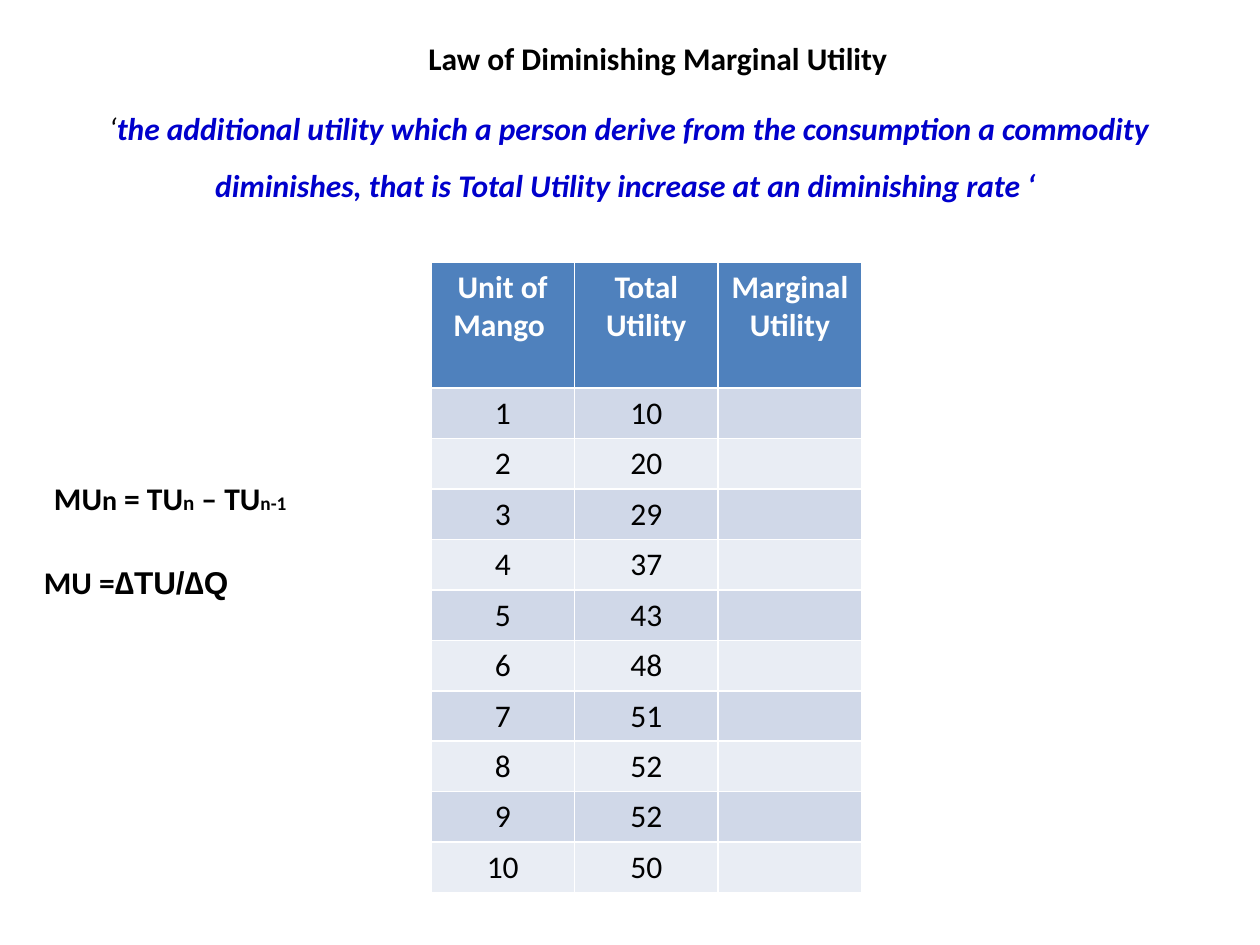
from pptx import Presentation, util as u
from pptx.dml.color import RGBColor
from pptx.enum import text

BLACK, WHITE, BLUE = "000000", "FFFFFF", "0000CC"
HEADER_FILL, BAND_FILLS = "4F81BD", ("E9EDF4", "D0D8E8")

deck = Presentation()
deck.slide_width, deck.slide_height = u.Inches(10), u.Inches(7.5)
slide = deck.slides.add_slide(deck.slide_layouts[5])


def place(left, top, width, height):
    """Turn inches into the four lengths of a box."""
    return [u.Inches(length) for length in (left, top, width, height)]


def write(frame, content, size=18, color=BLACK, bold=True, italic=False,
          font="Calibri", align=text.PP_ALIGN.LEFT, spacing=1.0):
    """Add a run to the frame's first paragraph."""
    paragraph = frame.paragraphs[0]
    paragraph.alignment, paragraph.line_spacing = align, spacing
    run = paragraph.add_run()
    run.text = content
    run.font.name, run.font.size = font, u.Pt(size)
    run.font.bold, run.font.italic = bold, italic
    run.font.color.rgb = RGBColor.from_string(color)


CENTER = text.PP_ALIGN.CENTER

# Heading
heading = slide.shapes.title
heading.left, heading.top, heading.width, heading.height = place(0, 0.26, 10, 0.4)
heading.text_frame.vertical_anchor = text.MSO_ANCHOR.TOP
heading.text_frame.auto_size = text.MSO_AUTO_SIZE.SHAPE_TO_FIT_TEXT
write(heading.text_frame, "Law of Diminishing Marginal Utility ", align=CENTER)
indents = heading.text_frame.paragraphs[0]._p.get_or_add_pPr()
indents.set("marL", str(u.Inches(0.51)))
indents.set("indent", str(u.Inches(-0.01)))

# Definition and formulas: box, paragraph format, runs
notes = [
    (place(0.33, 0.67, 9.33, 1.46), dict(align=CENTER, spacing=1.5, italic=True), [
        ("‘", dict(bold=False)),
        ("the additional utility which a person derive from the consumption a "
         "commodity diminishes, that is Total Utility increase at an "
         "diminishing rate ‘ ", dict(color=BLUE)),
    ]),
    (place(0.33, 3.75, 2.42, 0.4), {}, [
        ("MU", {}), ("n", dict(size=16)), (" = TU", {}),
        ("n", dict(size=12)), (" – TU", {}), ("n-1", dict(size=11)),
    ]),
    (place(0.25, 4.42, 2.42, 0.4), {}, [
        ("MU =", {}), ("∆TU/∆Q", dict(font="Arial")),
    ]),
]
for box, paragraph_format, runs in notes:
    frame = slide.shapes.add_textbox(*box).text_frame
    frame.word_wrap = True
    frame.auto_size = text.MSO_AUTO_SIZE.SHAPE_TO_FIT_TEXT
    for content, run_format in runs:
        write(frame, content, **paragraph_format, **run_format)

# Utility schedule
headers = ["Unit of Mango ", "Total Utility", "Marginal Utility"]
total_utility = [10, 20, 29, 37, 43, 48, 51, 52, 52, 50]
rows = [headers] + [[str(unit), str(total), ""]
                    for unit, total in enumerate(total_utility, 1)]
schedule = slide.shapes.add_table(
    len(rows), len(headers), *place(3.42, 2.08, 3.42, 5.01)).table
for column in schedule.columns:
    column.width = u.Inches(1.14)
for r, values in enumerate(rows):
    schedule.rows[r].height = u.Inches(0.4 if r else 1)
    for c, value in enumerate(values):
        cell = schedule.cell(r, c)
        cell.fill.solid()
        cell.fill.fore_color.rgb = RGBColor.from_string(
            BAND_FILLS[r % 2] if r else HEADER_FILL)
        if value:
            write(cell.text_frame, value, align=CENTER, bold=r == 0,
                  color=BLACK if r else WHITE)

deck.save("out.pptx")
